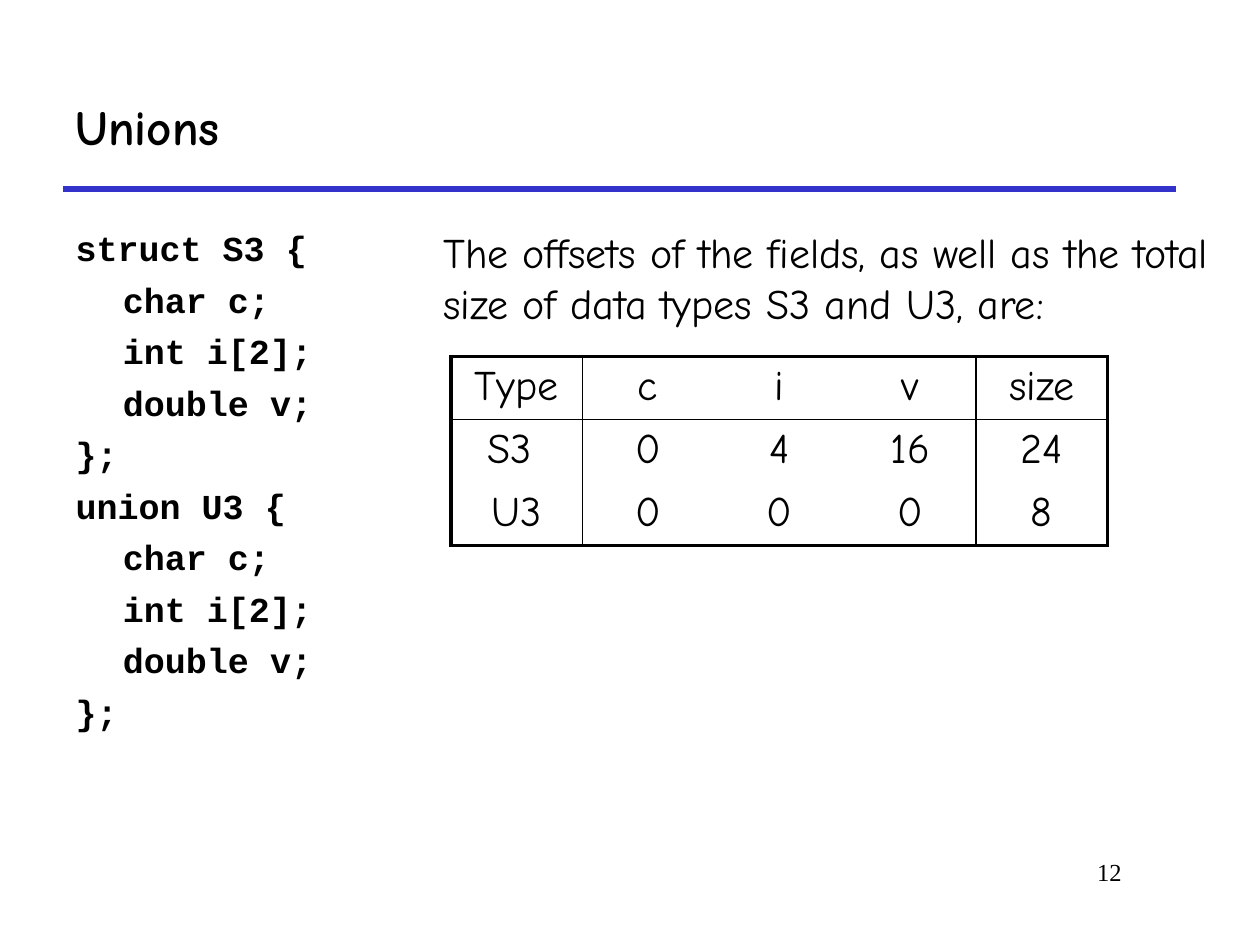
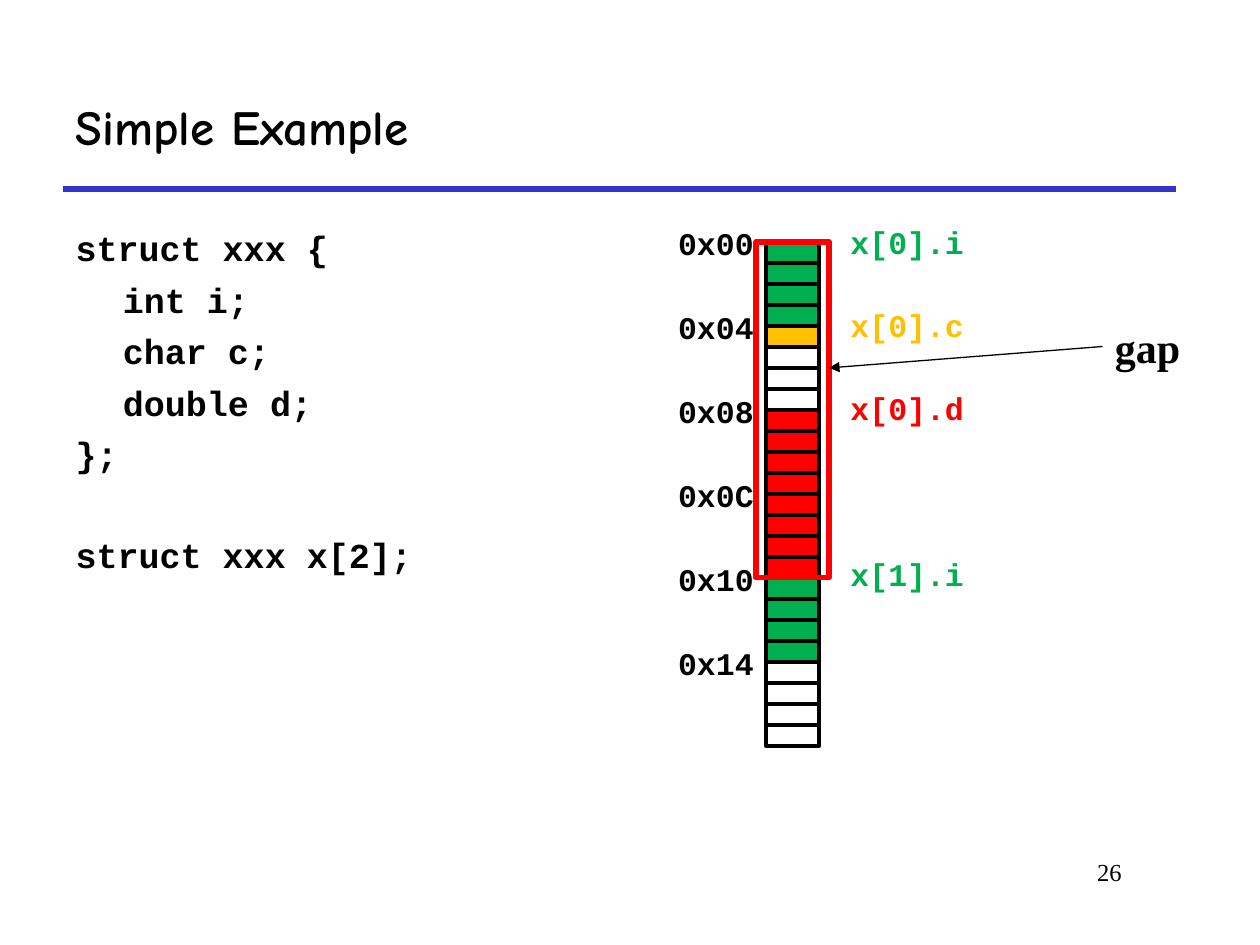
from dataclasses import dataclass
from typing import Any, Optional

from lxml.etree import SubElement
from pptx import Presentation
from pptx.dml.color import RGBColor
from pptx.enum.shapes import MSO_CONNECTOR, MSO_SHAPE
from pptx.enum.text import MSO_ANCHOR, MSO_AUTO_SIZE, PP_ALIGN
from pptx.oxml.ns import qn
from pptx.oxml.xmlchemy import OxmlElement
from pptx.util import Inches, Pt

# Colours
BLACK = RGBColor(0x00, 0x00, 0x00)
BLUE = RGBColor(0x33, 0x33, 0xCC)
GREEN = RGBColor(0x00, 0xB0, 0x50)
AMBER = RGBColor(0xFF, 0xC0, 0x00)
RED = RGBColor(0xFF, 0x00, 0x00)

# Text formats
TITLE = {"name": "Comic Neue", "size": Pt(28), "bold": True}
PROSE = {"name": "Comic Neue", "size": Pt(24), "bold": False}
CODE = {"name": "Courier New", "size": Pt(20), "bold": True}
LABEL = {"name": "Courier New", "size": Pt(18), "bold": True}
NOTE = {"name": "Times New Roman", "size": Pt(24), "bold": True}
NUMBER = {"name": "Times New Roman", "size": Pt(14), "bold": False}

CODE_GAP = 5.4   # points before each code line
CODE_LINE = 28   # points from one code line to the next


@dataclass
class Box:
    left: float
    top: float
    width: float
    height: float

    def lengths(self) -> tuple:
        return tuple(Inches(v) for v in (self.left, self.top, self.width, self.height))


@dataclass
class Field:
    """A struct member: its label and the bytes it takes in memory."""
    label: str
    first_byte: int
    size: int
    color: RGBColor


# Shared helpers
def add_run(p: Any, text: str, fmt: dict, color: RGBColor = BLACK) -> None:
    r = p.add_run()
    r.text = text
    for name, value in fmt.items():
        setattr(r.font, name, value)
    r.font.color.rgb = color


def place(sp: Any, box: Box) -> None:
    for name, value in zip(("left", "top", "width", "height"), box.lengths()):
        setattr(sp, name, value)


def add_text(s: Any, box: Box, text: str, fmt: dict, color: RGBColor = BLACK,
             align: PP_ALIGN = PP_ALIGN.LEFT, wrap: bool = True,
             margin_left: float = 0.1) -> None:
    tf = s.shapes.add_textbox(*box.lengths()).text_frame
    tf.word_wrap = wrap
    tf.margin_left = Inches(margin_left)
    p = tf.paragraphs[0]
    p.alignment = align
    add_run(p, text, fmt, color)


def add_line(s: Any, start: tuple, end: tuple, color: RGBColor, width: float,
             arrow: bool = False) -> None:
    x1, y1, x2, y2 = (Inches(v) for v in (*start, *end))
    line = s.shapes.add_connector(MSO_CONNECTOR.STRAIGHT, x1, y1, x2, y2)
    line.line.color.rgb = color
    line.line.width = Pt(width)
    if arrow:
        SubElement(line.line._get_or_add_ln(), qn("a:tailEnd"), type="triangle")
    SubElement(line._element.spPr, qn("a:effectLst"))


def add_rect(s: Any, box: Box, line: RGBColor, width: float,
             fill: Optional[RGBColor] = None) -> None:
    sp = s.shapes.add_shape(MSO_SHAPE.RECTANGLE, *box.lengths())
    sp.shadow.inherit = False
    if fill is None:
        sp.fill.background()
    else:
        sp.fill.solid()
        sp.fill.fore_color.rgb = fill
    sp.line.color.rgb = line
    sp.line.width = Pt(width)


def add_code(s: Any, box: Box, blocks: list) -> None:
    """Fill the body with blocks of code, one blank line's height apart."""
    body = s.placeholders[1]
    place(body, box)
    tf = body.text_frame
    tf.auto_size = MSO_AUTO_SIZE.NONE
    tf.vertical_anchor = MSO_ANCHOR.TOP
    p = tf.paragraphs[0]
    for b, block in enumerate(blocks):
        for i, text in enumerate(block):
            if b or i:
                p = tf.add_paragraph()
            new_block = b > 0 and i == 0
            p.space_before = Pt(CODE_GAP + (CODE_LINE if new_block else 0))
            pPr = p._p.get_or_add_pPr()
            pPr.set("marL", str(Inches(0.375)))
            pPr.set("indent", str(-Inches(0.375)))
            SubElement(pPr, qn("a:buNone"))
            add_run(p, text, CODE)


def add_slide(prs: Any, title: str, number: int) -> Any:
    """Start a slide with the shared title, rule and number."""
    s = prs.slides.add_slide(prs.slide_layouts[1])
    add_line(s, (0.5, 1.5), (9.33, 1.5), BLUE, 3)
    place(s.shapes.title, Box(0.5, 0.5, 8.83, 1))
    tf = s.shapes.title.text_frame
    tf.auto_size = MSO_AUTO_SIZE.NONE
    tf.vertical_anchor = MSO_ANCHOR.MIDDLE
    p = tf.paragraphs[0]
    p.alignment = PP_ALIGN.LEFT
    add_run(p, title, TITLE)
    add_text(s, Box(7.58, 6.75, 1.42, 0.5), str(number), NUMBER, align=PP_ALIGN.RIGHT)
    return s


# Table
def set_borders(cell: Any, widths: dict) -> None:
    tcPr = cell._tc.get_or_add_tcPr()
    for i, (side, width) in enumerate(widths.items()):
        ln = OxmlElement(f"a:ln{side}")
        if width:
            ln.set("w", str(Pt(width)))
            SubElement(SubElement(ln, qn("a:solidFill")), qn("a:srgbClr"), val=str(BLACK))
        else:
            SubElement(ln, qn("a:noFill"))
        tcPr.insert(i, ln)


def add_offsets_table(s: Any, box: Box, rows: list) -> None:
    n_rows, n_cols = len(rows), len(rows[0])
    table = s.shapes.add_table(n_rows, n_cols, *box.lengths()).table
    table.first_row = table.horz_banding = False
    # Line widths from the outer edge inwards
    across = [2.25, 1] + [0] * (n_rows - 2) + [2.25]
    down = [2.25, 1] + [0] * (n_cols - 3) + [1, 2.25]
    for i, row in enumerate(rows):
        table.rows[i].height = Inches(box.height / n_rows)
        for j, text in enumerate(row):
            cell = table.cell(i, j)
            cell.fill.background()
            p = cell.text_frame.paragraphs[0]
            p.alignment = PP_ALIGN.CENTER
            add_run(p, text, PROSE)
            set_borders(cell, {"L": down[j], "R": down[j + 1],
                               "T": across[i], "B": across[i + 1]})


# Slide: unions
def unions_slide(prs: Any) -> None:
    s = add_slide(prs, "Unions", 12)
    members = ["\tchar c;", "\tint i[2];", "\tdouble v;", "};"]
    add_code(s, Box(0.5, 1.75, 9.08, 4.83),
             [["struct S3 {", *members, "union U3 {", *members]])
    add_offsets_table(s, Box(3.58, 2.83, 5.21, 1.25), [
        ["Type", "c", "i", "v", "size"],
        ["S3 ", "0", "4", "16", "24"],
        ["U3", "0", "0", "0", "8"],
    ])
    add_text(s, Box(3.42, 1.75, 6.58, 0.91),
             "The offsets of the fields, as well as the total size of "
             "data types S3 and U3, are:", PROSE)


# Slide: memory layout of a struct array
def example_slide(prs: Any) -> None:
    s = add_slide(prs, "Simple Example", 26)
    add_code(s, Box(0.5, 1.75, 3.33, 4.25), [
        ["struct xxx {", "\tint i;", "\tchar c;", "\tdouble d;", "};"],
        ["struct xxx x[2];"],
    ])

    n_bytes, word, struct_size = 24, 4, 16
    left, top, width, height = 6.08, 1.92, 0.42, 1 / 6
    fields = [
        Field("x[0].i", 0, 4, GREEN),
        Field("x[0].c", 4, 1, AMBER),
        Field("x[0].d", 8, 8, RED),
        Field("x[1].i", 16, 4, GREEN),
    ]
    fills = {f.first_byte + k: f.color for f in fields for k in range(f.size)}

    # Bytes, with an address at each word
    for k in range(n_bytes):
        add_rect(s, Box(left, top + k * height, width, height), BLACK, 2.25, fills.get(k))
    for k in range(0, n_bytes, word):
        add_text(s, Box(5.25, 1.73 + k * height, 0.83, 0.4), f"0x{k:02X}", LABEL,
                 align=PP_ALIGN.RIGHT)

    # Field labels
    for f in fields:
        add_text(s, Box(6.5, 1.72 + f.first_byte * 0.165, 1.5, 0.4), f.label, LABEL,
                 f.color, margin_left=0.25)

    # Outline of the first struct, and the gap in it
    add_rect(s, Box(6, top, 0.58, struct_size * height), RED, 3)
    add_text(s, Box(8.75, 2.5, 0.73, 0.51), "gap", NOTE, wrap=False)
    add_line(s, (8.75, 2.75), (6.58, 2.92), BLACK, 0.75, arrow=True)


prs = Presentation()
prs.slide_width, prs.slide_height = Inches(10), Inches(7.5)
unions_slide(prs)
example_slide(prs)
prs.save("out.pptx")
